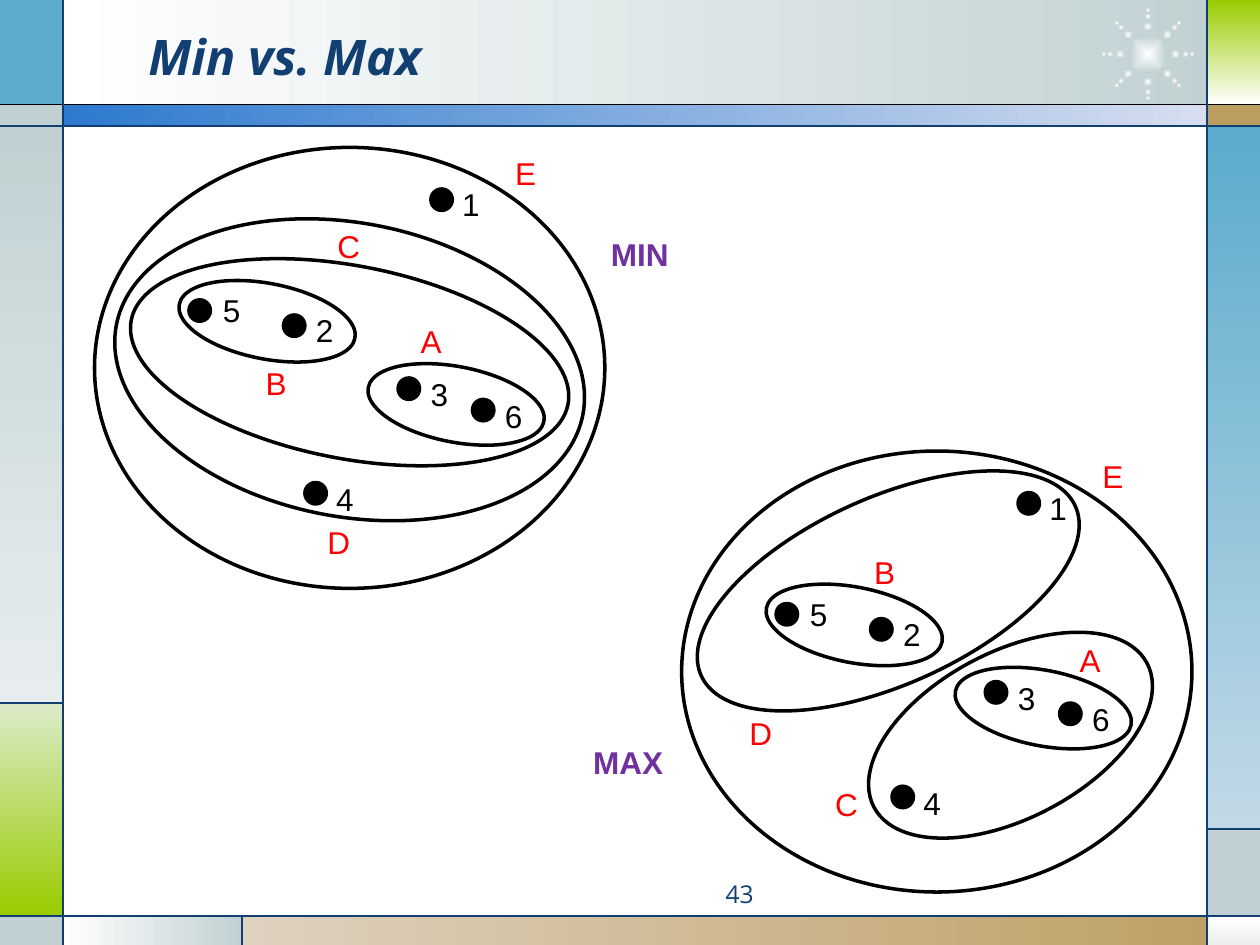
"""Build a slide comparing MIN and MAX nested clusterings."""
from dataclasses import dataclass
from math import cos, radians, sin
from typing import Optional

from pptx import Presentation
from pptx.dml.color import RGBColor
from pptx.enum.shapes import MSO_CONNECTOR as Connector, MSO_SHAPE as Shape
from pptx.enum.text import MSO_ANCHOR as Anchor, PP_ALIGN as Align
from pptx.oxml import parse_xml
from pptx.oxml.ns import nsdecls, qn
from pptx.util import Inches, Pt

BLACK = RGBColor(0x00, 0x00, 0x00)
WHITE = RGBColor(0xFF, 0xFF, 0xFF)
RED = RGBColor(0xFF, 0x00, 0x00)
PURPLE = RGBColor(0x70, 0x30, 0xA0)
NAVY = RGBColor(0x11, 0x3F, 0x71)
SKY = RGBColor(0x5A, 0xAB, 0xCC)
PALE_SKY = RGBColor(0xC2, 0xD9, 0xE7)
GREY = RGBColor(0xC1, 0xD1, 0xD3)
PALE_GREY = RGBColor(0xE7, 0xED, 0xEE)
SILVER = RGBColor(0xED, 0xED, 0xED)
GREEN = RGBColor(0x99, 0xCC, 0x00)
PALE_GREEN = RGBColor(0xDB, 0xEB, 0xC9)
TAN = RGBColor(0xBD, 0x9E, 0x61)
PALE_TAN = RGBColor(0xDE, 0xD1, 0xBF)
BLUE = RGBColor(0x2D, 0x7A, 0xCF)
PALE_BLUE = RGBColor(0xD7, 0xDE, 0xF0)
RIGHTWARD, DOWNWARD = 0, 270


@dataclass
class Panel:
    left: float
    top: float
    width: float
    height: float
    start: RGBColor
    end: Optional[RGBColor] = None
    angle: int = RIGHTWARD


@dataclass
class Rule:
    x1: float
    y1: float
    x2: float
    y2: float
    color: RGBColor = NAVY


@dataclass
class Oval:
    left: float
    top: float
    width: float
    height: float
    rotation: float = 0


@dataclass
class Point:
    name: str
    left: float
    top: float
    label_left: float
    label_top: float


@dataclass
class Label:
    text: str
    left: float
    top: float
    width: float = 0.37
    height: float = 0.4
    color: RGBColor = RED
    size: int = 18
    font: str = "Arial"
    bold: bool = False
    italic: bool = False
    wrap: bool = False
    align: Align = Align.LEFT
    anchor: Anchor = Anchor.TOP


@dataclass
class Clustering:
    dx: float
    dy: float
    ovals: list[Oval]
    labels: list[Label]


PANELS = [
    Panel(0.5, 0, 9.27, 0.84, WHITE, GREY),
    Panel(0, 0, 0.5, 0.84, SKY),
    Panel(0, 0.83, 0.5, 0.17, GREY),
    Panel(0, 1, 0.5, 4.58, GREY, PALE_GREY, DOWNWARD),
    Panel(0, 5.58, 0.5, 1.69, PALE_GREEN, GREEN, DOWNWARD),
    Panel(0, 7.27, 0.5, 0.23, GREY),
    Panel(0.5, 7.27, 1.42, 0.23, WHITE, GREY),
    Panel(1.92, 7.27, 8.08, 0.23, PALE_TAN, TAN),
    Panel(9.59, 7.27, 0.41, 0.23, WHITE, SILVER, DOWNWARD),
    Panel(9.58, 6.58, 0.42, 0.69, GREY),
    Panel(9.58, 1, 0.42, 5.58, SKY, PALE_SKY, DOWNWARD),
    Panel(9.58, 0.83, 0.42, 0.17, TAN),
    Panel(9.58, 0, 0.42, 0.83, GREEN, WHITE, DOWNWARD),
    Panel(0.5, 0.83, 9.08, 0.17, BLUE, PALE_BLUE),
]
RULES = [
    Rule(0, 0.83, 10, 0.83, BLACK), Rule(0, 1, 10, 1), Rule(0, 7.27, 10, 7.27),
    Rule(0.5, 0, 0.5, 7.5), Rule(9.58, 0, 9.58, 7.5), Rule(0, 5.58, 0.5, 5.58),
    Rule(1.92, 7.27, 1.92, 7.5), Rule(9.58, 6.58, 10, 6.58),
]
BURST_X, BURST_Y = 9.11, 0.43
BEADS = [(0.22, 0.07), (0.3, 0.05), (0.35, 0.04)]
POINTS = [
    Point("3", 3.16, 3, 3.32, 2.93), Point("6", 3.75, 3.17, 3.91, 3.1),
    Point("5", 1.5, 2.38, 1.67, 2.26), Point("2", 2.25, 2.5, 2.41, 2.42),
    Point("1", 3.42, 1.5, 3.57, 1.42), Point("4", 2.42, 3.83, 2.57, 3.76),
]
SHARED_OVALS = [Oval(2.91, 2.91, 1.42, 0.6, 10.9), Oval(1.41, 2.25, 1.42, 0.6, 10.9),
                Oval(0.75, 1.17, 4.05, 3.5)]
CLUSTERINGS = [
    Clustering(0, 0,
               [Oval(1.01, 2.11, 3.53, 1.53, 10.9), Oval(0.89, 1.77, 3.77, 2.33, 10.9)],
               [Label("A", 3.24, 2.51), Label("B", 2.01, 2.84), Label("C", 2.58, 1.75),
                Label("D", 2.5, 4.1), Label("E", 3.99, 1.17),
                Label("MIN", 4.75, 1.82, 0.66, color=PURPLE, bold=True)]),
    Clustering(4.66, 2.41,
               [Oval(7.36, 4.61, 1.32, 2.45, 62.2), Oval(5.42, 3.95, 3.26, 1.48, 335.6)],
               [Label("A", 8.47, 5.04), Label("B", 6.84, 4.34), Label("C", 6.53, 6.18),
                Label("D", 5.85, 5.62), Label("E", 8.65, 3.58),
                Label("MAX", 4.61, 5.85, 0.76, color=PURPLE, bold=True)]),
]
HEADINGS = [
    Label("Min vs. Max", 1.08, 0.13, 7.33, 0.62, NAVY, 28, "Open Sans",
          bold=True, italic=True, wrap=True, anchor=Anchor.MIDDLE),
    Label("43", 3.75, 6.93, 2.33, 0.27, NAVY, 14, "Open Sans", wrap=True, align=Align.RIGHT),
]


def add_panel(page, panel: Panel, kind=Shape.RECTANGLE):
    box = page.shapes.add_shape(kind, Inches(panel.left), Inches(panel.top),
                                Inches(panel.width), Inches(panel.height))
    box.shadow.inherit = False
    box.line.fill.background()
    if panel.end is None:
        box.fill.solid()
        box.fill.fore_color.rgb = panel.start
    else:
        box.fill.gradient()
        box.fill.gradient_angle = panel.angle
        for stop, color in zip(box.fill.gradient_stops, (panel.start, panel.end)):
            stop.color.rgb = color
    return box


def add_glow(page, x: float, y: float, size: float) -> None:
    glow = add_panel(page, Panel(x - size / 2, y - size / 2, size, size, WHITE, GREY), Shape.OVAL)
    gradient = glow._element.spPr.find(qn("a:gradFill"))
    gradient.replace(gradient.find(qn("a:lin")), parse_xml(
        f'<a:path {nsdecls("a")} path="shape">'
        '<a:fillToRect l="50000" t="50000" r="50000" b="50000"/></a:path>'))


def add_rule(page, rule: Rule) -> None:
    line = page.shapes.add_connector(Connector.STRAIGHT, Inches(rule.x1), Inches(rule.y1),
                                     Inches(rule.x2), Inches(rule.y2))
    line.line.color.rgb = rule.color
    line.line.width = Pt(0.75)
    line._element.spPr.append(parse_xml(f'<a:effectLst {nsdecls("a")}/>'))


def add_oval(page, oval: Oval, dx: float = 0, dy: float = 0, filled: bool = False) -> None:
    ring = page.shapes.add_shape(Shape.OVAL, Inches(oval.left + dx), Inches(oval.top + dy),
                                 Inches(oval.width), Inches(oval.height))
    ring.shadow.inherit = False
    ring.rotation = oval.rotation
    ring.line.color.rgb = BLACK
    ring.line.width = Pt(2)
    if filled:
        ring.fill.solid()
        ring.fill.fore_color.rgb = BLACK
    else:
        ring.fill.background()


def add_label(page, label: Label) -> None:
    box = page.shapes.add_textbox(Inches(label.left), Inches(label.top),
                                  Inches(label.width), Inches(label.height))
    frame = box.text_frame
    frame.text = label.text
    frame.word_wrap = label.wrap
    frame.vertical_anchor = label.anchor
    para = frame.paragraphs[0]
    para.alignment = label.align
    font = para.runs[0].font
    font.name, font.size = label.font, Pt(label.size)
    font.bold, font.italic = label.bold, label.italic
    font.color.rgb = label.color


def add_clustering(page, group: Clustering) -> None:
    for point in POINTS:
        add_oval(page, Oval(point.left, point.top, 0.17, 0.17), group.dx, group.dy, filled=True)
        add_label(page, Label(point.name, point.label_left + group.dx,
                              point.label_top + group.dy, 0.34, color=BLACK))
    for oval in SHARED_OVALS:
        add_oval(page, oval, group.dx, group.dy)
    for oval in group.ovals:
        add_oval(page, oval)
    for label in group.labels:
        add_label(page, label)


deck = Presentation()
deck.slide_width, deck.slide_height = Inches(10), Inches(7.5)
page = deck.slides.add_slide(deck.slide_layouts[6])
for panel in PANELS:
    add_panel(page, panel)
add_glow(page, BURST_X, BURST_Y, 0.3)
for ray in range(8):
    turn = radians(45 * ray)
    for radius, size in BEADS:
        add_glow(page, BURST_X + radius * cos(turn), BURST_Y + radius * sin(turn), size)
for rule in RULES:
    add_rule(page, rule)
for heading in HEADINGS:
    add_label(page, heading)
for clustering in CLUSTERINGS:
    add_clustering(page, clustering)
deck.save("out.pptx")
